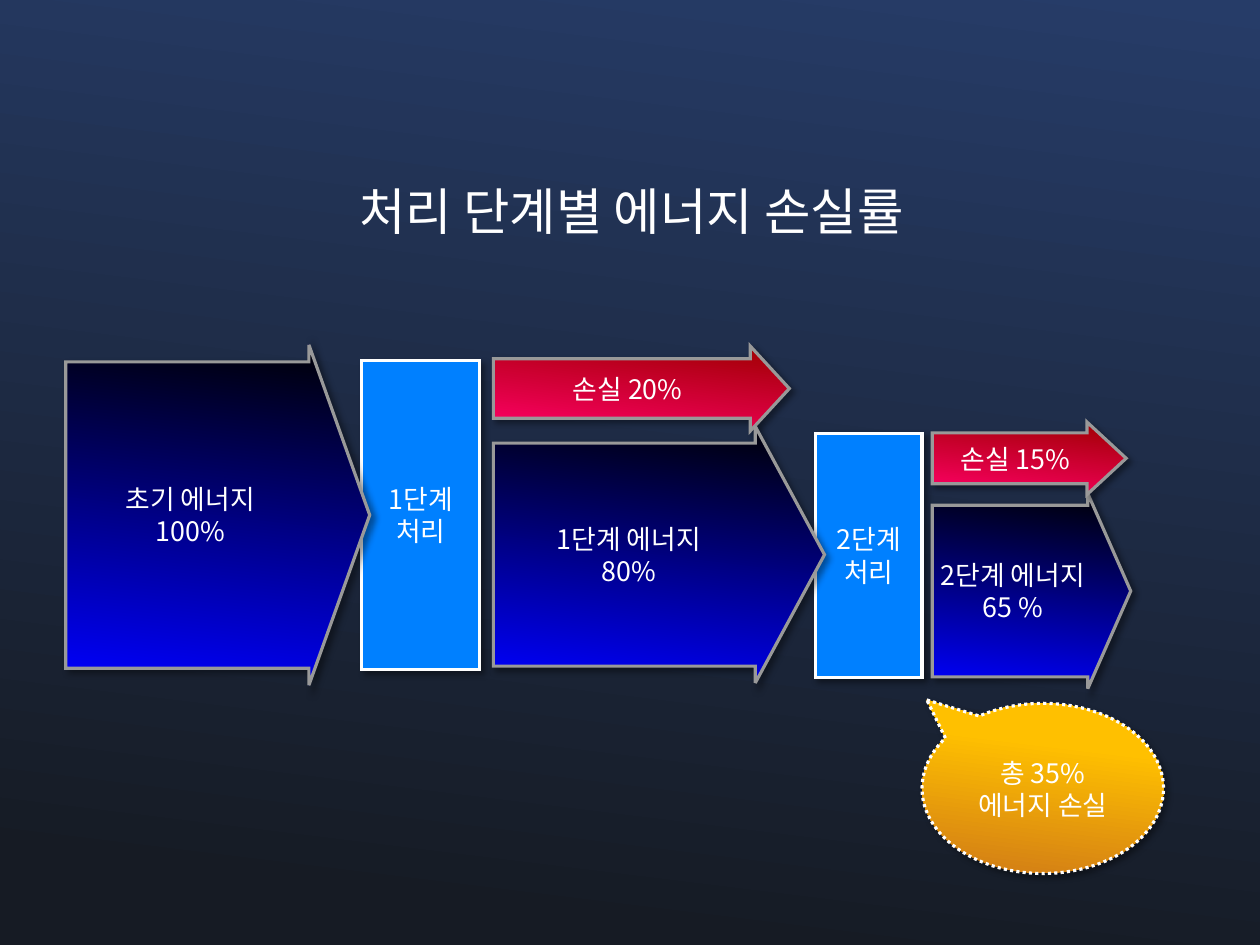
"""Build a slide showing the energy lost at each processing stage."""
from dataclasses import dataclass

from lxml import etree
from pptx import Presentation
from pptx.dml.color import RGBColor
from pptx.dml.fill import FillFormat
from pptx.enum.dml import MSO_LINE
from pptx.enum.shapes import MSO_SHAPE
from pptx.enum.text import MSO_ANCHOR, PP_ALIGN
from pptx.oxml.ns import qn
from pptx.shapes.base import BaseShape
from pptx.slide import Slide
from pptx.util import Pt

PX = 9144
TITLE_ONLY = 5
ARROW = MSO_SHAPE.RIGHT_ARROW
BOX = MSO_SHAPE.RECTANGLE
CALLOUT = MSO_SHAPE.OVAL_CALLOUT
DOTTED = MSO_LINE.ROUND_DOT
MIDDLE = MSO_ANCHOR.MIDDLE
CENTER = PP_ALIGN.CENTER


@dataclass(frozen=True)
class Gradient:
    stops: tuple[tuple[float, str], tuple[float, str]]


@dataclass(frozen=True)
class Theme:
    font: str = "Noto Sans CJK KR"
    text: str = "FFFFFF"
    title_size: int = 32
    label_size: int = 17
    background: Gradient = Gradient(((0.08, "161B24"), (1, "263C68")))
    energy: Gradient = Gradient(((0, "0000FF"), (1, "000000")))
    loss: Gradient = Gradient(((0, "FF0066"), (1, "9E0000")))
    total: Gradient = Gradient(((0.08, "D68314"), (0.73, "FFC000")))
    process: str = "0080FF"
    arrow_line: str = "999999"
    light_line: str = "FFFFFF"
    shadow: str = "000000"
    line_width: int = 2
    gradient_angle: int = 83


THEME = Theme()


@dataclass(frozen=True)
class Part:
    text: str
    kind: MSO_SHAPE
    bounds: tuple[int, int, int, int]
    fill: Gradient | str
    line: str
    adjustments: tuple[float, ...] = ()
    dash: MSO_LINE | None = None


PARTS = (
    Part("2단계\v처리", BOX, (719, 382, 94, 215), THEME.process, THEME.light_line),
    Part("1단계\n처리", BOX, (319, 318, 104, 272), THEME.process, THEME.light_line),
    Part("초기 에너지\v100%", ARROW, (58, 304, 268, 300), THEME.energy,
         THEME.arrow_line, (0.9, 0.2)),
    Part("손실 20%", ARROW, (435, 305, 261, 75), THEME.loss,
         THEME.arrow_line, (0.7, 0.46)),
    Part("1단계 에너지\v80%", ARROW, (435, 376, 292, 226), THEME.energy,
         THEME.arrow_line, (0.87, 0.27)),
    Part("2단계 에너지\n65 %", ARROW, (822, 435, 175, 172), THEME.energy,
         THEME.arrow_line, (0.88, 0.22)),
    Part("손실 15%", ARROW, (822, 372, 171, 64), THEME.loss,
         THEME.arrow_line, (0.7, 0.54)),
    Part("총 35%\v에너지 손실", CALLOUT, (813, 620, 213, 150), THEME.total,
         THEME.light_line, (-0.48, -0.52), DOTTED),
)


def paint(fill: FillFormat, paint_value: Gradient | str) -> None:
    """Apply a solid colour or a gradient."""
    if isinstance(paint_value, str):
        fill.solid()
        fill.fore_color.rgb = RGBColor.from_string(paint_value)
        return
    fill.gradient()
    fill.gradient_angle = THEME.gradient_angle
    for stop, (position, colour) in zip(fill.gradient_stops, paint_value.stops):
        stop.position = position
        stop.color.rgb = RGBColor.from_string(colour)


def write(shape: BaseShape, text: str, size: int, inset: int) -> None:
    """Put centred text into a shape."""
    frame = shape.text_frame
    margins = {f"margin_{side}": inset * PX for side in ("left", "top", "right", "bottom")}
    for name, value in {"word_wrap": True, "vertical_anchor": MIDDLE, **margins}.items():
        setattr(frame, name, value)
    frame.text = text
    for paragraph in frame.paragraphs:
        paragraph.alignment = CENTER
        for run in paragraph.runs:
            for name, value in {"size": Pt(size), "name": THEME.font}.items():
                setattr(run.font, name, value)
            run.font.color.rgb = RGBColor.from_string(THEME.text)
            east_asian = etree.SubElement(run._r.get_or_add_rPr(), qn("a:ea"))
            east_asian.set("typeface", THEME.font)


def cast_shadow(shape: BaseShape) -> None:
    """Give a shape a soft shadow to the lower right."""
    shape.shadow.inherit = False
    effects = shape._element.spPr.find(qn("a:effectLst"))
    shadow = etree.SubElement(effects, qn("a:outerShdw"), blurRad=str(Pt(4)),
                              dist=str(Pt(3)), dir=str(45 * 60000), rotWithShape="0")
    colour = etree.SubElement(shadow, qn("a:srgbClr"), val=THEME.shadow)
    etree.SubElement(colour, qn("a:alpha"), val="40000")


def draw(slide: Slide, part: Part) -> None:
    """Draw one labelled part of the energy flow."""
    shape = slide.shapes.add_shape(part.kind, *(length * PX for length in part.bounds))
    for index, value in enumerate(part.adjustments):
        shape.adjustments[index] = value
    paint(shape.fill, part.fill)
    shape.line.color.rgb = RGBColor.from_string(part.line)
    shape.line.width = Pt(THEME.line_width)
    if part.dash is not None:
        shape.line.dash_style = part.dash
    etree.SubElement(shape._element.spPr.find(qn("a:ln")), qn("a:miter"), lim="800000")
    cast_shadow(shape)
    write(shape, part.text, THEME.label_size, 0)


def main() -> None:
    """Build and save the presentation."""
    presentation = Presentation()
    presentation.slide_width = 1111 * PX
    presentation.slide_height = 833 * PX
    slide = presentation.slides.add_slide(presentation.slide_layouts[TITLE_ONLY])
    paint(slide.background.fill, THEME.background)
    heading = slide.shapes.title
    bounds = {"left": 110, "top": 81, "width": 894, "height": 208}
    for name, length in bounds.items():
        setattr(heading, name, length * PX)
    write(heading, "처리 단계별 에너지 손실률", THEME.title_size, 4)
    for part in PARTS:
        draw(slide, part)
    presentation.save("out.pptx")


if __name__ == "__main__":
    main()
